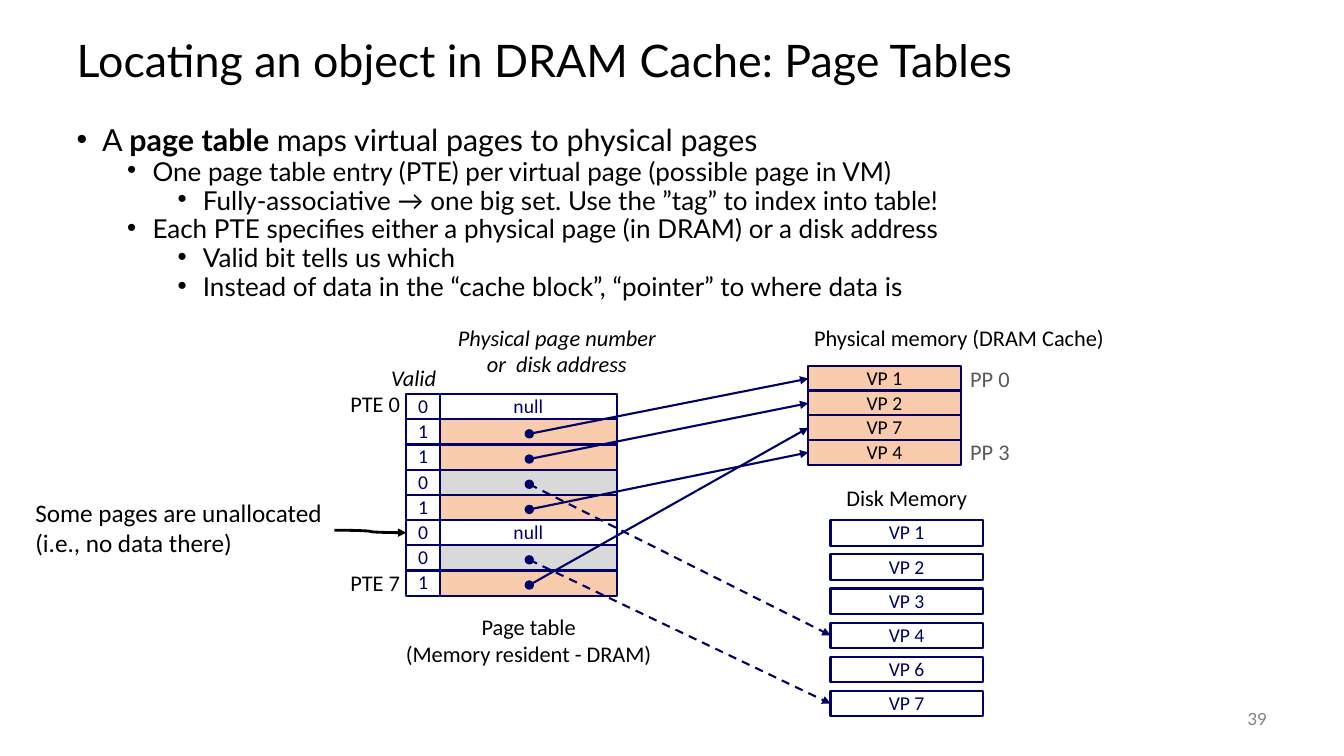
"""Build the slide on locating an object in the DRAM cache with a page table."""
from dataclasses import dataclass

from lxml import etree
from pptx import Presentation
from pptx.dml.color import RGBColor
from pptx.enum.dml import MSO_LINE
from pptx.enum.shapes import MSO_CONNECTOR, MSO_SHAPE
from pptx.enum.text import MSO_ANCHOR, MSO_AUTO_SIZE, PP_ALIGN
from pptx.oxml.ns import qn
from pptx.util import Cm, Pt

RECTANGLE, OVAL = MSO_SHAPE.RECTANGLE, MSO_SHAPE.OVAL
STRAIGHT, CURVE = MSO_CONNECTOR.STRAIGHT, MSO_CONNECTOR.CURVE
LEFT, CENTER, RIGHT = PP_ALIGN.LEFT, PP_ALIGN.CENTER, PP_ALIGN.RIGHT
TOP, MIDDLE = MSO_ANCHOR.TOP, MSO_ANCHOR.MIDDLE
DASH, NO_AUTOFIT = MSO_LINE.DASH, MSO_AUTO_SIZE.NONE
LEFT_SIDE = 1


@dataclass(frozen=True)
class Theme:
    """Colours, fonts and type sizes of the slide."""
    black: RGBColor = RGBColor.from_string("000000")
    white: RGBColor = RGBColor.from_string("FFFFFF")
    navy: RGBColor = RGBColor.from_string("000066")
    peach: RGBColor = RGBColor.from_string("F8CBAD")
    silver: RGBColor = RGBColor.from_string("D9D9D9")
    dark_grey: RGBColor = RGBColor.from_string("595959")
    grey: RGBColor = RGBColor.from_string("808080")
    main_font: str = "Lato"
    diagram_font: str = "Calibri"
    title: float = 32
    lead: float = 21.7
    detail: float = 18.6
    remark: float = 18
    label: float = 16
    cell: float = 14
    number: float = 12


THEME = Theme()

BULLETS = [
    (0, [("A ", False), ("page table ", True), ("maps virtual pages to physical pages", False)]),
    (1, [("One page table entry (PTE) per virtual page (possible page in VM)", False)]),
    (2, [("Fully-associative → one big set. Use the ”tag” to index into table!", False)]),
    (1, [("Each PTE specifies either a physical page (in DRAM) or a disk address", False)]),
    (2, [("Valid bit tells us which", False)]),
    (2, [("Instead of data in the “cache block”, “pointer” to where data is", False)]),
]
PAGE_TABLE = [
    ("0", None), ("1", "VP 1"), ("1", "VP 2"), ("0", "VP 4"),
    ("1", "VP 4"), ("0", None), ("0", "VP 7"), ("1", "VP 7"),
]
MEMORY_PAGES = ["VP 1", "VP 2", "VP 7", "VP 4"]
DISK_PAGES = ["VP 1", "VP 2", "VP 3", "VP 4", "VP 6", "VP 7"]
UNALLOCATED_ROW = 5


def format_span(span, size, color=THEME.black, font=THEME.diagram_font, bold=False, italic=False):
    """Give a run its font, size and colour."""
    span.font.name, span.font.size = font, Pt(size)
    span.font.bold, span.font.italic = bold, italic
    span.font.color.rgb = color


def write(shape, text, size, align=CENTER, anchor=MIDDLE, **style):
    """Set and format the text of a box without side margins."""
    frame = shape.text_frame
    frame.word_wrap, frame.vertical_anchor = True, anchor
    frame.margin_left = frame.margin_right = 0
    para = frame.paragraphs[0]
    para.text = text
    para.alignment, para.line_spacing = align, 0.98
    for span in para.runs:
        format_span(span, size, **style)


def place(shape, left, top, width, height):
    """Move and size a shape in centimetres."""
    shape.left, shape.top, shape.width, shape.height = map(Cm, (left, top, width, height))


def add_label(page, text, bounds, align=CENTER, size=THEME.label, **style):
    """Add a line of free text."""
    box = page.shapes.add_textbox(*map(Cm, bounds))
    write(box, text, size, align, TOP, **style)


def add_figure(page, kind, bounds, fill, weight=1.5):
    """Add a navy-outlined preset shape."""
    shape = page.shapes.add_shape(kind, *map(Cm, bounds))
    shape.shadow.inherit = False
    shape.fill.solid()
    shape.fill.fore_color.rgb = fill
    shape.line.color.rgb, shape.line.width = THEME.navy, Pt(weight)
    return shape


def add_cell(page, bounds, fill, text="", color=THEME.navy):
    """Add one cell of a table or memory."""
    cell = add_figure(page, RECTANGLE, bounds, fill)
    if text:
        cell.text_frame.margin_top = cell.text_frame.margin_bottom = 0
        write(cell, text, THEME.cell, color=color)
    return cell


def add_pages(page, names, left, top, step, fill, color):
    """Stack named page cells and return them by name."""
    return {
        name: add_cell(page, (left, top + row * step, 3.84, 0.64), fill, name, color)
        for row, name in enumerate(names)
    }


def add_arrow(page, kind, start_x, start_y, target, color=THEME.navy, weight=1.5, dashed=False):
    """Draw an arrow to the left side of a cell."""
    arrow = page.shapes.add_connector(kind, start_x, start_y, target.left, target.top)
    arrow.end_connect(target, LEFT_SIDE)
    arrow.line.color.rgb, arrow.line.width = color, Pt(weight)
    if dashed:
        arrow.line.dash_style = DASH
    properties = arrow.line._get_or_add_ln()
    etree.SubElement(properties, qn("a:tailEnd"), type="triangle")
    etree.SubElement(arrow._element.spPr, qn("a:effectLst"))


def add_page_table(page, memory, disk):
    """Draw the page table with its pointers and return the valid cells."""
    left, top, valid_width, entry_width, row_height = 10.24, 9.93, 0.85, 4.45, 5.08 / 8
    entry_left = left + valid_width
    dot_size, dot_center = 0.2, 13.34
    valid_cells, pointers = [], []
    for row, (valid, target) in enumerate(PAGE_TABLE):
        row_top = top + row * row_height
        in_memory = valid == "1"
        fill = THEME.peach if in_memory else THEME.silver if target else THEME.white
        add_cell(page, (entry_left, row_top, entry_width, row_height), fill, "" if target else "null")
        valid_cells.append(add_cell(page, (left, row_top, valid_width, row_height), THEME.white, valid))
        if target:
            pointers.append((row_top + row_height / 2 + 0.05, (memory if in_memory else disk)[target], in_memory))
    for center, cell, in_memory in pointers:
        bounds = (dot_center - dot_size / 2, center - dot_size / 2, dot_size, dot_size)
        add_figure(page, OVAL, bounds, THEME.navy, 1)
        add_arrow(page, STRAIGHT, Cm(dot_center), Cm(center), cell, dashed=not in_memory)
    return valid_cells


def fill_title(title):
    """Write the slide title."""
    place(title, 1.68, 0.64, 30.48, 1.9)
    frame = title.text_frame
    frame.text = "Locating an object in DRAM Cache: Page Tables"
    frame.auto_size, frame.vertical_anchor = NO_AUTOFIT, MIDDLE
    para = frame.paragraphs[0]
    para.alignment, para.line_spacing = LEFT, 0.9
    format_span(para.runs[0], THEME.title, font=THEME.main_font)


def fill_bullets(body):
    """Write the bulleted list in the body placeholder."""
    place(body, 1.68, 3.18, 30.48, 4.67)
    frame = body.text_frame
    frame.auto_size, frame.vertical_anchor = NO_AUTOFIT, TOP
    for index, (level, spans) in enumerate(BULLETS):
        para = frame.add_paragraph() if index else frame.paragraphs[0]
        para.level, para.alignment, para.line_spacing = level, LEFT, 0.7
        para.space_before = Pt(5 if index else 0)
        properties = para._p.get_or_add_pPr()
        properties.set("marL", str(Cm(0.64 + 1.27 * level)))
        properties.set("indent", str(-Cm(0.64)))
        etree.SubElement(properties, qn("a:buFont"), typeface="Arial")
        etree.SubElement(properties, qn("a:buChar"), char="•")
        for text, bold in spans:
            span = para.add_run()
            span.text = text
            size = THEME.detail if level else THEME.lead
            format_span(span, size, font=THEME.main_font, bold=bold)


def main():
    """Build and save the deck."""
    deck = Presentation()
    deck.slide_width, deck.slide_height = Cm(33.87), Cm(19.05)
    page = deck.slides.add_slide(deck.slide_layouts[1])
    fill_title(page.shapes.title)
    fill_bullets(page.placeholders[1])

    memory = add_pages(page, MEMORY_PAGES, 20.37, 9.22, 0.62, THEME.peach, THEME.black)
    disk = add_pages(page, DISK_PAGES, 20.93, 13.11, 0.86, THEME.white, THEME.navy)
    valid_cells = add_page_table(page, memory, disk)
    add_arrow(page, CURVE, Cm(8.43), Cm(13.36), valid_cells[UNALLOCATED_ROW], THEME.black, 2)

    add_label(page, "Physical page number\vor  disk address", (11.28, 8.08, 5.51, 1.6), italic=True)
    add_label(page, "Valid", (9.86, 9.09, 1.6, 0.94), LEFT, italic=True)
    add_label(page, "Page table\v(Memory resident - DRAM)", (9.86, 15.37, 6.93, 1.6))
    add_label(page, "Physical memory (DRAM Cache)", (20.12, 8.08, 8.1, 0.94))
    add_label(page, "Disk Memory", (21.06, 12.12, 3.58, 0.94))
    for text, top in (("PTE 0", 9.75), ("PTE 7", 14.25)):
        add_label(page, text, (8.05, top, 2.03, 0.94), RIGHT)
    for text, top in (("PP 0", 9.12), ("PP 3", 10.95)):
        add_label(page, text, (24.45, top, 1.5, 0.94), LEFT, color=THEME.dark_grey)
    add_label(page, "Some pages are unallocated (i.e., no data there)",
              (0.89, 12.45, 7.29, 1.8), LEFT, THEME.remark)
    add_label(page, "39", (29.9, 17.77, 2.03, 0.77), RIGHT, THEME.number,
              color=THEME.grey, font=THEME.main_font)
    deck.save("out.pptx")


if __name__ == "__main__":
    main()
